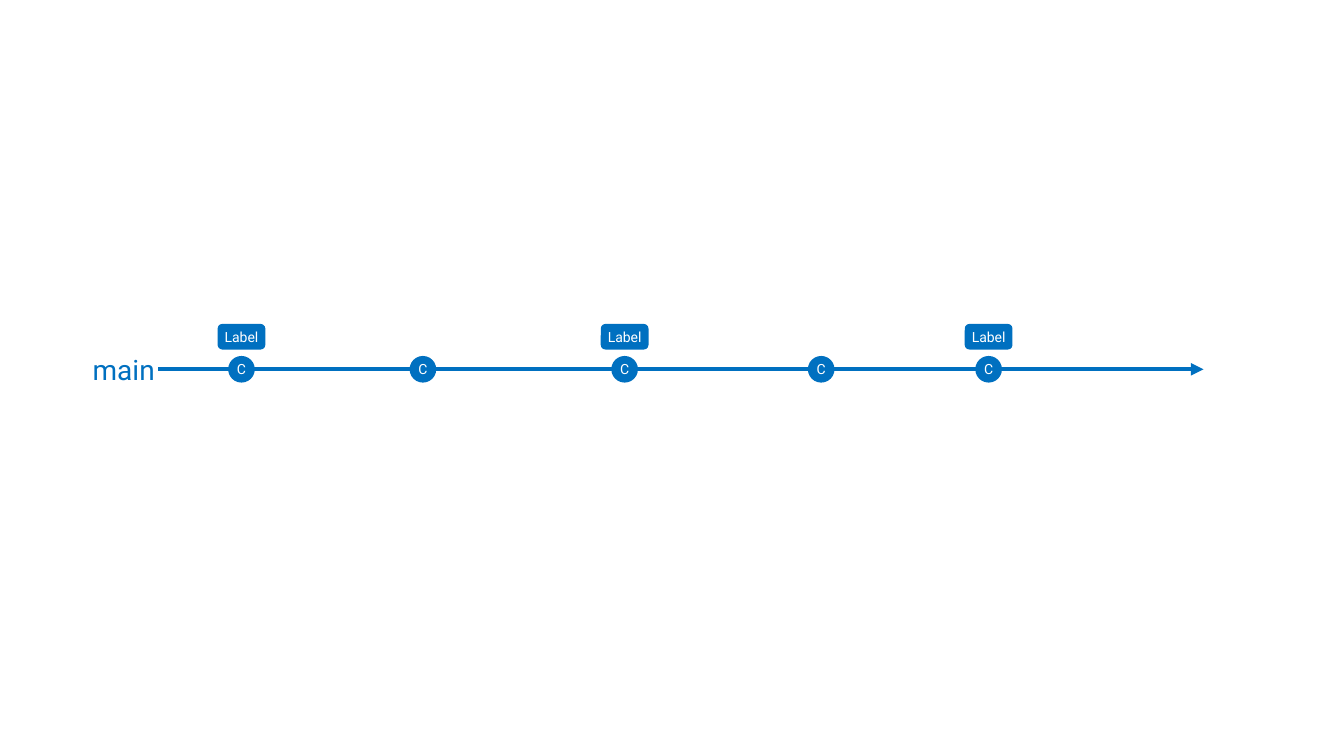
from itertools import pairwise

from lxml.etree import SubElement
from pptx import Presentation
from pptx.dml.color import RGBColor
from pptx.enum.shapes import MSO_CONNECTOR, MSO_SHAPE
from pptx.enum.text import MSO_ANCHOR, MSO_AUTO_SIZE, PP_ALIGN
from pptx.oxml.ns import qn
from pptx.util import Pt

BLUE = "0070C0"
WHITE = "FFFFFF"
FONT = "Roboto"
BRANCH_START, BRANCH_END, BRANCH_Y = 113, 859.7, 263.8
COMMIT_SIZE = 17
LABEL_WIDTH, LABEL_HEIGHT, LABEL_TOP = 33.1, 17.3, 231.9
COMMITS = [(172.5, True), (302.1, False), (446.2, True), (586.6, False), (706.2, True)]


def color(hex_string):
    """Turn a hex string into a colour."""
    return RGBColor.from_string(hex_string)


def add_text(shape, text, size, text_color, margin=0):
    """Write one run into a shape and return the paragraph and run."""
    frame = shape.text_frame
    frame.margin_left = frame.margin_right = Pt(margin)
    frame.margin_top = frame.margin_bottom = Pt(margin)
    paragraph = frame.paragraphs[0]
    run = paragraph.add_run()
    run.text = text
    run.font.size = Pt(size)
    run.font.name = FONT
    run.font.color.rgb = color(text_color)
    return paragraph, run


def add_badge(slide, kind, box, text, line_width, margin, anchor):
    """Add a solid blue shape with centred white text."""
    shape = slide.shapes.add_shape(kind, *map(Pt, box))
    shape.shadow.inherit = False
    shape.fill.solid()
    shape.fill.fore_color.rgb = color(BLUE)
    shape.line.color.rgb = color(BLUE)
    shape.line.width = Pt(line_width)
    paragraph, run = add_text(shape, text, 10, WHITE, margin)
    paragraph.alignment = PP_ALIGN.CENTER
    shape.text_frame.vertical_anchor = anchor
    return run


def add_commit(slide, center):
    """Add a commit circle on the branch line."""
    box = (center - COMMIT_SIZE / 2, BRANCH_Y - COMMIT_SIZE / 2, COMMIT_SIZE, COMMIT_SIZE)
    run = add_badge(slide, MSO_SHAPE.OVAL, box, "C", 2, 0, MSO_ANCHOR.BOTTOM)
    run.font._element.set("spc", "-50")


def add_label(slide, center):
    """Add a rounded label above a commit."""
    box = (center - LABEL_WIDTH / 2, LABEL_TOP, LABEL_WIDTH, LABEL_HEIGHT)
    add_badge(slide, MSO_SHAPE.ROUNDED_RECTANGLE, box, "Label", 1, 2.88, MSO_ANCHOR.MIDDLE)


def add_branch_line(slide, start, end, arrow=False):
    """Add a horizontal piece of the branch line."""
    connector = slide.shapes.add_connector(
        MSO_CONNECTOR.STRAIGHT, Pt(start), Pt(BRANCH_Y), Pt(end), Pt(BRANCH_Y))
    connector.line.color.rgb = color(BLUE)
    connector.line.width = Pt(3)
    if arrow:
        SubElement(connector.line._get_or_add_ln(), qn("a:tailEnd"), type="triangle")
    SubElement(connector._element.spPr, qn("a:effectLst"))


def add_branch_name(slide, text):
    """Add the branch name left of the line."""
    box = slide.shapes.add_textbox(Pt(66.2), Pt(252), Pt(46.8), Pt(24.2))
    box.text_frame.word_wrap = False
    box.text_frame.auto_size = MSO_AUTO_SIZE.SHAPE_TO_FIT_TEXT
    add_text(box, text, 20, BLUE)


def main():
    """Build the branch diagram and save it."""
    presentation = Presentation()
    presentation.slide_width = Pt(960)
    presentation.slide_height = Pt(540)
    slide = presentation.slides.add_slide(presentation.slide_layouts[6])

    add_branch_name(slide, "main ")
    radius = COMMIT_SIZE / 2
    centers = [center for center, labelled in COMMITS]
    add_branch_line(slide, BRANCH_START, centers[0] - radius)
    for left, right in pairwise(centers):
        add_branch_line(slide, left + radius, right - radius)
    add_branch_line(slide, centers[-1] + radius, BRANCH_END, arrow=True)
    for center, labelled in COMMITS:
        add_commit(slide, center)
        if labelled:
            add_label(slide, center)

    presentation.save("out.pptx")


main()
